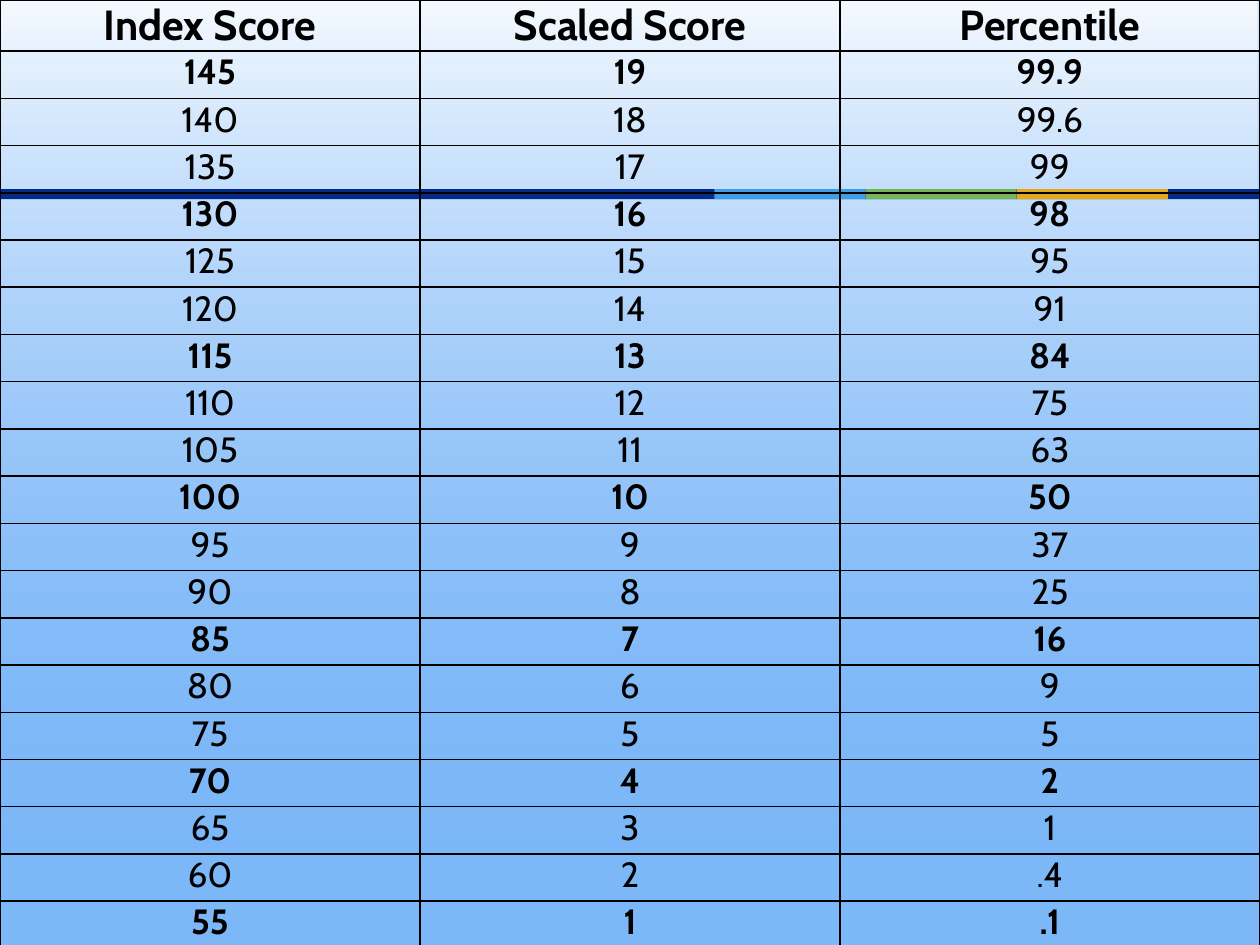
import pptx
import pptx.dml.color
import pptx.enum.shapes
import pptx.enum.text
import pptx.oxml
import pptx.oxml.ns
import pptx.util

Pt = pptx.util.Pt
RGBColor = pptx.dml.color.RGBColor
SKY = RGBColor(0x7C, 0xB7, 0xF8)
WHITE = RGBColor(0xFF, 0xFF, 0xFF)
BLACK = RGBColor(0, 0, 0)
NAVY = RGBColor(0x04, 0x29, 0x86)
STRIPES = [RGBColor(0x3F, 0x9E, 0xE4), RGBColor(0x77, 0xB5, 0x59), RGBColor(0xE4, 0xA8, 0x1B)]
HEADERS = ["Index Score", "Scaled Score", "Percentile"]
PERCENTILES = ["99.9", "99.6", "99", "98", "95", "91", "84", "75", "63", "50",
               "37", "25", "16", "9", "5", "2", "1", ".4", ".1"]


def add_block(page, left, top, width, height):
    """Add a plain rectangle without outline or shadow."""
    block = page.shapes.add_shape(pptx.enum.shapes.MSO_SHAPE.RECTANGLE,
                                  Pt(left), Pt(top), Pt(width), Pt(height))
    block.shadow.inherit = False
    block.line.fill.background()
    return block


def add_glow(page, left, top, width, height):
    """Add the white glow that fades out downwards."""
    fill = add_block(page, left, top, width, height).fill
    fill.gradient()
    fill.gradient_angle = 90
    settings = [(SKY, 0.01, 0), (WHITE, 1, 92)]
    for stop, (colour, position, opacity) in zip(fill.gradient_stops, settings):
        stop.color.rgb = colour
        stop.position = position
        namespace = pptx.oxml.ns.nsdecls("a")
        alpha = pptx.oxml.parse_xml(f'<a:alpha {namespace} val="{opacity * 1000}"/>')
        stop.color._xFill.find(pptx.oxml.ns.qn("a:srgbClr")).append(alpha)


def add_band(page, left, top, width, height):
    """Add the navy band with its three coloured stripes."""
    bar = add_block(page, left, top, width, height)
    bar.fill.solid()
    bar.fill.fore_color.rgb = NAVY
    stripe_width = width * 0.12
    for index, colour in enumerate(STRIPES):
        stripe = add_block(page, left + width * 0.567 + index * stripe_width, top,
                           stripe_width, height)
        stripe.fill.solid()
        stripe.fill.fore_color.rgb = colour


def add_borders(cell):
    """Draw a thin black line on each side of a cell."""
    namespace = pptx.oxml.ns.nsdecls("a")
    properties = cell._tc.get_or_add_tcPr()
    for index, side in enumerate("LRTB"):
        properties.insert(index, pptx.oxml.parse_xml(
            f'<a:ln{side} {namespace} w="{Pt(1)}"><a:solidFill><a:srgbClr val="{BLACK}"/>'
            f'</a:solidFill></a:ln{side}>'))


def fill_cell(cell, text, size, bold):
    """Write centred text into a transparent, bordered cell."""
    cell.margin_left = cell.margin_right = Pt(5)
    cell.margin_top = cell.margin_bottom = 0
    cell.fill.background()
    add_borders(cell)
    para = cell.text_frame.paragraphs[0]
    para.text = text
    para.alignment = pptx.enum.text.PP_ALIGN.CENTER
    para.font.name = "Cabin"
    para.font.size = Pt(size)
    para.font.bold = bold
    para.font.color.rgb = BLACK


def add_scores(page, left, top, width, height):
    """Add the score table, with every third score in bold."""
    scores = [(str(145 - 5 * step), str(19 - step), percentile)
              for step, percentile in enumerate(PERCENTILES)]
    rows = [HEADERS, *scores]
    table = page.shapes.add_table(len(rows), len(HEADERS), Pt(left), Pt(top),
                                  Pt(width), Pt(height)).table
    table.first_row = table.horz_banding = False
    for column in table.columns:
        column.width = Pt(width / len(HEADERS))
    header_height = 28.8
    for index, texts in enumerate(rows):
        is_header = index == 0
        body_height = (height - header_height) / len(scores)
        table.rows[index].height = Pt(header_height if is_header else body_height)
        for column, text in enumerate(texts):
            fill_cell(table.cell(index, column), text, 24 if is_header else 20,
                      is_header or index % 3 == 1)


def main():
    """Build and save the deck."""
    deck = pptx.Presentation()
    deck.slide_width, deck.slide_height = Pt(720), Pt(540)
    page = deck.slides.add_slide(deck.slide_layouts[6])
    page.background.fill.solid()
    page.background.fill.fore_color.rgb = SKY
    add_glow(page, -0.7, 0, 720, 495)
    add_band(page, 0, 108, 720, 5.8)
    add_scores(page, 0, 0, 720, 541.8)
    deck.save("out.pptx")


if __name__ == "__main__":
    main()
